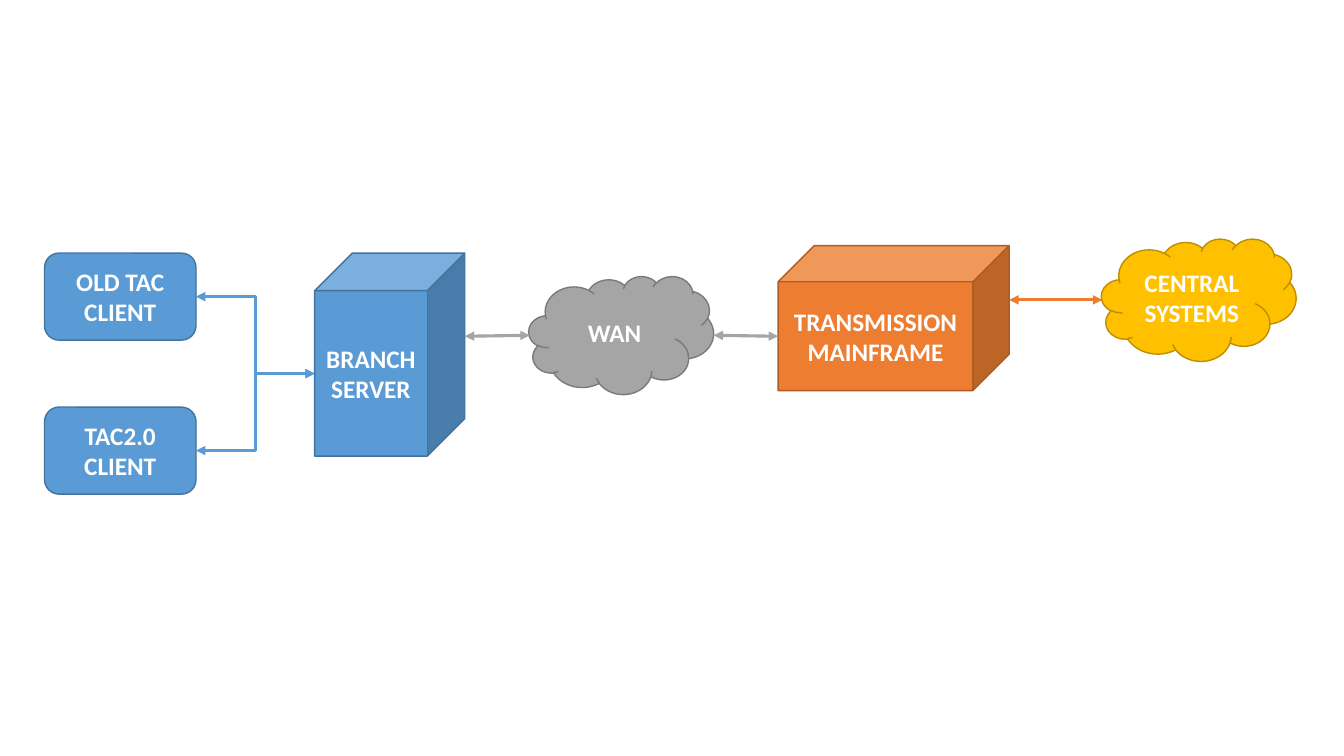
from lxml import etree
from pptx import Presentation
from pptx import util as u
from pptx.dml.color import RGBColor
from pptx.enum import shapes, text
from pptx.oxml import ns

BLUE, BLUE_EDGE = RGBColor(0x5B, 0x9B, 0xD5), RGBColor(0x43, 0x73, 0x9E)
GRAY, GRAY_EDGE = RGBColor(0xA5, 0xA5, 0xA5), RGBColor(0x7A, 0x7A, 0x7A)
ORANGE, ORANGE_EDGE = RGBColor(0xED, 0x7D, 0x31), RGBColor(0xAF, 0x5C, 0x24)
GOLD, GOLD_EDGE = RGBColor(0xFF, 0xC0, 0x00), RGBColor(0xBD, 0x8E, 0x00)
WHITE = RGBColor(0xFF, 0xFF, 0xFF)

KIND = shapes.MSO_SHAPE
LINK = shapes.MSO_CONNECTOR


class Diagram:
    """Style of the network diagram and the slide it is drawn on."""

    font = {"name": "Calibri", "size": u.Pt(18), "bold": True}
    frame = {"word_wrap": True, "vertical_anchor": text.MSO_ANCHOR.MIDDLE}

    def __init__(self, slide):
        self.slide = slide

    def node(self, kind, label, box, fill, edge):
        shape = self.slide.shapes.add_shape(kind, *map(u.Pt, box))
        shape.shadow.inherit = False
        shape.fill.solid()
        shape.fill.fore_color.rgb = fill
        shape.line.color.rgb = edge
        shape.line.width = u.Pt(1)
        for name, value in self.frame.items():
            setattr(shape.text_frame, name, value)
        paragraph = shape.text_frame.paragraphs[0]
        paragraph.alignment = text.PP_ALIGN.CENTER
        run = paragraph.add_run()
        run.text = label
        for name, value in self.font.items():
            setattr(run.font, name, value)
        run.font.color.rgb = WHITE

    def arrow(self, kind, start, end, color):
        connector = self.slide.shapes.add_connector(kind, *map(u.Pt, start + end))
        connector.line.color.rgb = color
        connector.line.width = u.Pt(2.25)
        # Arrowheads at both ends, no shadow
        line = connector.line._get_or_add_ln()
        for tag in ("a:headEnd", "a:tailEnd"):
            etree.SubElement(line, ns.qn(tag), type="triangle")
        etree.SubElement(connector._element.spPr, ns.qn("a:effectLst"))


def main():
    presentation = Presentation()
    presentation.slide_width, presentation.slide_height = u.Pt(960), u.Pt(540)
    slide = presentation.slides.add_slide(presentation.slide_layouts[6])
    diagram = Diagram(slide)

    # Clients, each linked to the branch server
    client_left, client_width, client_height = 31.8, 108.2, 62.2
    server_entry = (224.8, 266.9)
    for label, top in (("OLD TAC CLIENT", 180.8), ("TAC2.0 CLIENT", 290.8)):
        diagram.node(KIND.ROUNDED_RECTANGLE, label,
                     (client_left, top, client_width, client_height), BLUE, BLUE_EDGE)
        client_exit = (client_left + client_width, top + client_height / 2)
        diagram.arrow(LINK.ELBOW, client_exit, server_entry, BLUE)

    # Servers and networks
    for node in (
        (KIND.CUBE, "BRANCH SERVER", (224.8, 180.8, 107.2, 145), BLUE, BLUE_EDGE),
        (KIND.CLOUD, "WAN", (377.7, 197.3, 132, 84.3), GRAY, GRAY_EDGE),
        (KIND.CUBE, "TRANSMISSION MAINFRAME", (555.8, 175.4, 165, 103.6),
         ORANGE, ORANGE_EDGE),
        (KIND.CLOUD, "CENTRAL SYSTEMS", (786.8, 170.5, 139, 87.4), GOLD, GOLD_EDGE),
    ):
        diagram.node(*node)

    # Links between them
    for start, end, color in (
        ((332, 240.2), (378.4, 239.5), GRAY),
        ((509.7, 239.5), (555.8, 240.2), GRAY),
        ((720.8, 214.2), (787.4, 214.2), ORANGE),
    ):
        diagram.arrow(LINK.STRAIGHT, start, end, color)

    presentation.save("out.pptx")


if __name__ == "__main__":
    main()
